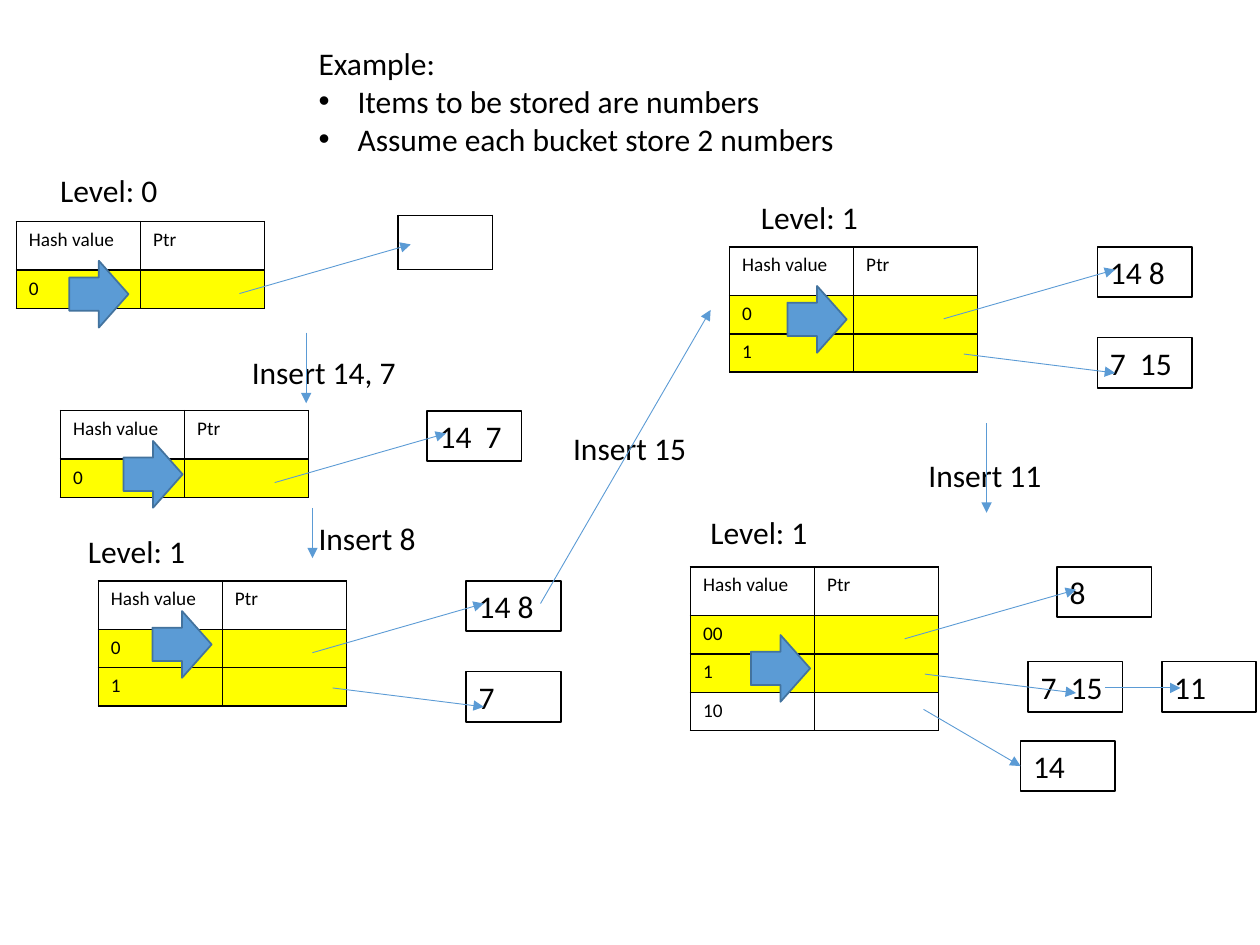
from lxml.etree import SubElement
from pptx import Presentation
from pptx.dml.color import RGBColor
from pptx.enum.shapes import MSO_CONNECTOR, MSO_SHAPE
from pptx.enum.text import MSO_ANCHOR, PP_ALIGN
from pptx.oxml.ns import qn
from pptx.util import Inches, Pt

# Content: all positions are in inches
INTRO = ["Example:", "Items to be stored are numbers",
         "Assume each bucket store 2 numbers"]
HEADER = ["Hash value", "Ptr"]
# Each stage: table corner, hash values (True = highlighted), block arrow corner
STAGES = [
    ((0.13, 1.76), [("0", True)], (0.55, 2.07)),
    ((0.48, 3.26), [("0", True)], (0.98, 3.5)),
    ((0.78, 4.61), [("0", True), ("1", True)], (1.21, 4.85)),
    ((5.79, 1.96), [("0", True), ("1", True)], (6.25, 2.27)),
    ((5.48, 4.5), [("00", True), ("1", True), ("10", False)], (5.96, 5.04)),
]
EMPTY_BUCKET = (3.16, 1.71)
BUCKETS = [
    ("14  7", 3.39, 3.26), ("14 8", 3.7, 4.61), ("7", 3.7, 5.33),
    ("14 8", 8.71, 1.96), ("7  15", 8.71, 2.68), ("8", 8.39, 4.5),
    ("7  15", 8.16, 5.25), ("11", 9.22, 5.25), ("14", 8.1, 5.88),
]
LABELS = [
    ("Level: 0", 0.38, 1.31, 1.04), ("Level: 1", 0.6, 4.17, 1.04),
    ("Level: 1", 5.94, 1.52, 1.04), ("Level: 1", 5.54, 4.02, 1.04),
    ("Insert 14, 7", 1.9, 2.75, 1.36), ("Insert 8", 2.43, 4.07, 0.98),
    ("Insert 15", 4.45, 3.36, 1.11), ("Insert 11", 7.27, 3.57, 1.11),
]
# Pointer of each table row, measured from the table corner
POINTERS = [(1.7, 0.57, 3.06, 0.18), (1.86, 0.85, 3.06, 1.0),
            (1.85, 1.13, 2.62, 1.58)]
STEPS = [
    (2.43, 2.64, 2.43, 3.2), (2.48, 4.03, 2.48, 4.43),
    (4.29, 4.79, 5.64, 2.46), (7.83, 3.36, 7.83, 4.07),
    (8.77, 5.46, 9.37, 5.46),
]
COL_W, HEAD_H, ROW_H = 0.985, 0.385, 0.305
BUCKET_W, BUCKET_H = 0.75, 0.4
BLACK, YELLOW, BLUE, DARK_BLUE = "000000", "FFFF00", "5B9BD5", "43739E"

prs = Presentation()
prs.slide_width, prs.slide_height = Inches(10), Inches(7.5)
s = prs.slides.add_slide(prs.slide_layouts[6])


def rgb(color):
    return RGBColor.from_string(color)


def style(p, size):
    p.font.size, p.font.name = Pt(size), "Calibri"
    p.font.color.rgb = rgb(BLACK)


def add_text(lines, x, y, w, h):
    tf = s.shapes.add_textbox(*map(Inches, (x, y, w, h))).text_frame
    tf.word_wrap = False
    tf.text = "\n".join(lines)
    for p in tf.paragraphs:
        style(p, 18)
    return tf


def add_box(kind, x, y, w, h, line, fill=None):
    sp = s.shapes.add_shape(kind, *map(Inches, (x, y, w, h)))
    sp.shadow.inherit = False
    sp.line.color.rgb, sp.line.width = rgb(line), Pt(1)
    if fill:
        sp.fill.solid()
        sp.fill.fore_color.rgb = rgb(fill)
    else:
        sp.fill.background()
    return sp


def add_arrow(x1, y1, x2, y2):
    c = s.shapes.add_connector(MSO_CONNECTOR.STRAIGHT,
                               *map(Inches, (x1, y1, x2, y2)))
    c.line.color.rgb, c.line.width = rgb(BLUE), Pt(0.5)
    SubElement(c.line._get_or_add_ln(), qn("a:tailEnd"), type="triangle")
    SubElement(c._element.spPr, qn("a:effectLst"))


def format_cell(cell, text, fill):
    cell.text = text
    style(cell.text_frame.paragraphs[0], 11)
    tcPr = cell._tc.get_or_add_tcPr()
    for side in ("a:lnL", "a:lnR", "a:lnT", "a:lnB"):
        ln = SubElement(tcPr, qn(side), w=str(Pt(1)))
        SubElement(SubElement(ln, qn("a:solidFill")), qn("a:srgbClr"), val=BLACK)
    if fill:
        cell.fill.solid()
        cell.fill.fore_color.rgb = rgb(fill)
    else:
        cell.fill.background()
    if not text:  # keeps an empty row from growing
        end = cell.text_frame.paragraphs[0]._p.get_or_add_endParaRPr()
        end.set("sz", "1100")


def add_grid(rows, x, y, widths, heights):
    size = map(Inches, (x, y, sum(widths), sum(heights)))
    table = s.shapes.add_table(len(rows), len(widths), *size).table
    table.first_row = table.horz_banding = False
    for col, w in zip(table.columns, widths):
        col.width = Inches(w)
    for row, h, (texts, fill) in zip(table.rows, heights, rows):
        row.height = Inches(h)
        for cell, text in zip(row.cells, texts):
            format_cell(cell, text, fill)


# Introduction with two bullets
tf = add_text(INTRO, 2.43, 0.3, 4.34, 1.01)
for p in tf.paragraphs[1:]:
    pPr = p._p.get_or_add_pPr()
    pPr.set("marL", str(Inches(0.31)))
    pPr.set("indent", str(Inches(-0.31)))
    bullet = pPr.makeelement(qn("a:buChar"), {"char": "•"})
    font = pPr.makeelement(qn("a:buFont"), {"typeface": "Arial"})
    pPr.insert(0, bullet)
    pPr.insert(0, font)

# Hash tables and buckets
for (x, y), values, _ in STAGES:
    rows = [(HEADER, None)]
    rows += [([v, ""], YELLOW if marked else None) for v, marked in values]
    add_grid(rows, x, y, [COL_W] * 2, [HEAD_H] + [ROW_H] * len(values))
add_grid([([""], None)], *EMPTY_BUCKET, [BUCKET_W], [0.43])
for text, x, y in BUCKETS:
    sp = add_box(MSO_SHAPE.RECTANGLE, x, y, BUCKET_W, BUCKET_H, BLACK)
    tf = sp.text_frame
    tf.word_wrap, tf.vertical_anchor = True, MSO_ANCHOR.TOP
    tf.text = text
    tf.paragraphs[0].alignment = PP_ALIGN.LEFT
    style(tf.paragraphs[0], 18)

# Labels
for text, x, y, w in LABELS:
    add_text([text], x, y, w, 0.4)

# Pointers, steps and block arrows
for i, ((x, y), values, _) in enumerate(STAGES):
    shift = 0.07 if i == 0 else 0
    for (x1, y1, x2, y2), _ in zip(POINTERS, values):
        add_arrow(x + x1 + shift, y + y1, x + x2 + shift, y + y2)
for step in STEPS:
    add_arrow(*step)
for _, _, (x, y) in STAGES:
    add_box(MSO_SHAPE.RIGHT_ARROW, x, y, 0.47, 0.53, DARK_BLUE, BLUE)

prs.save("out.pptx")
